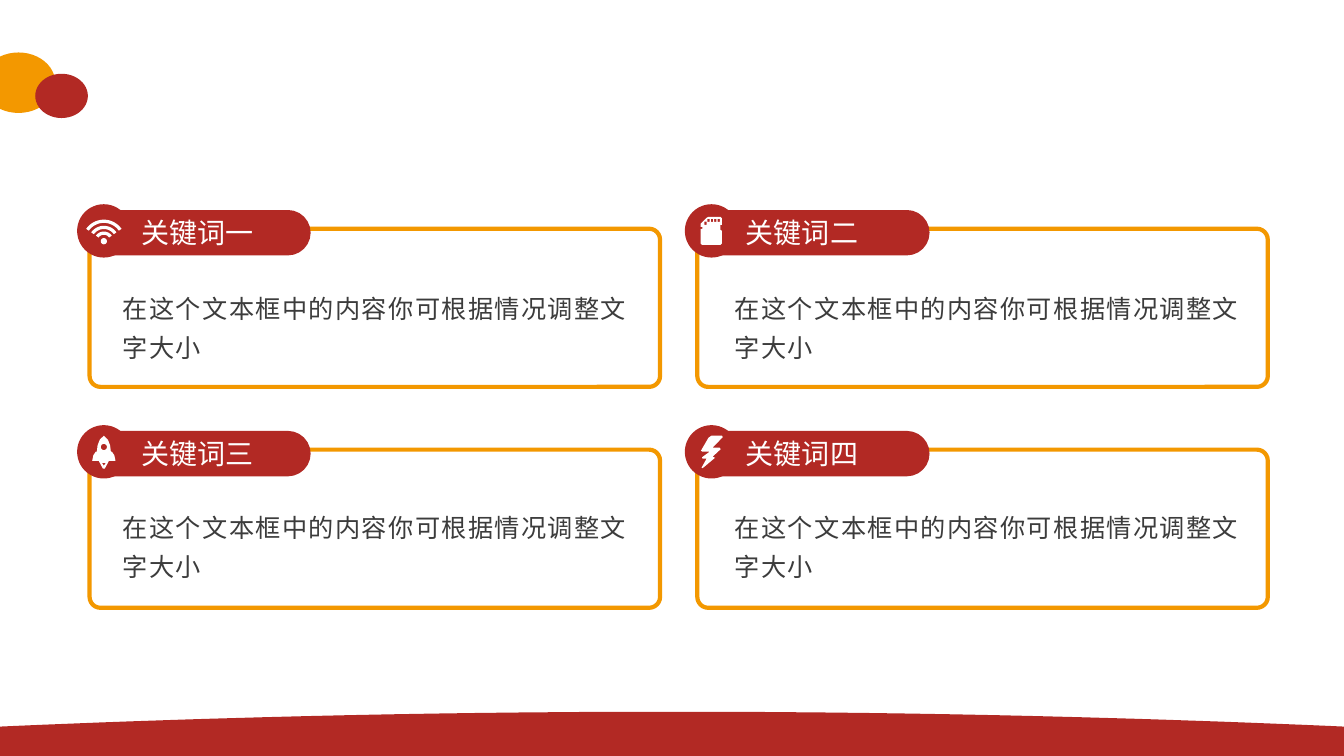
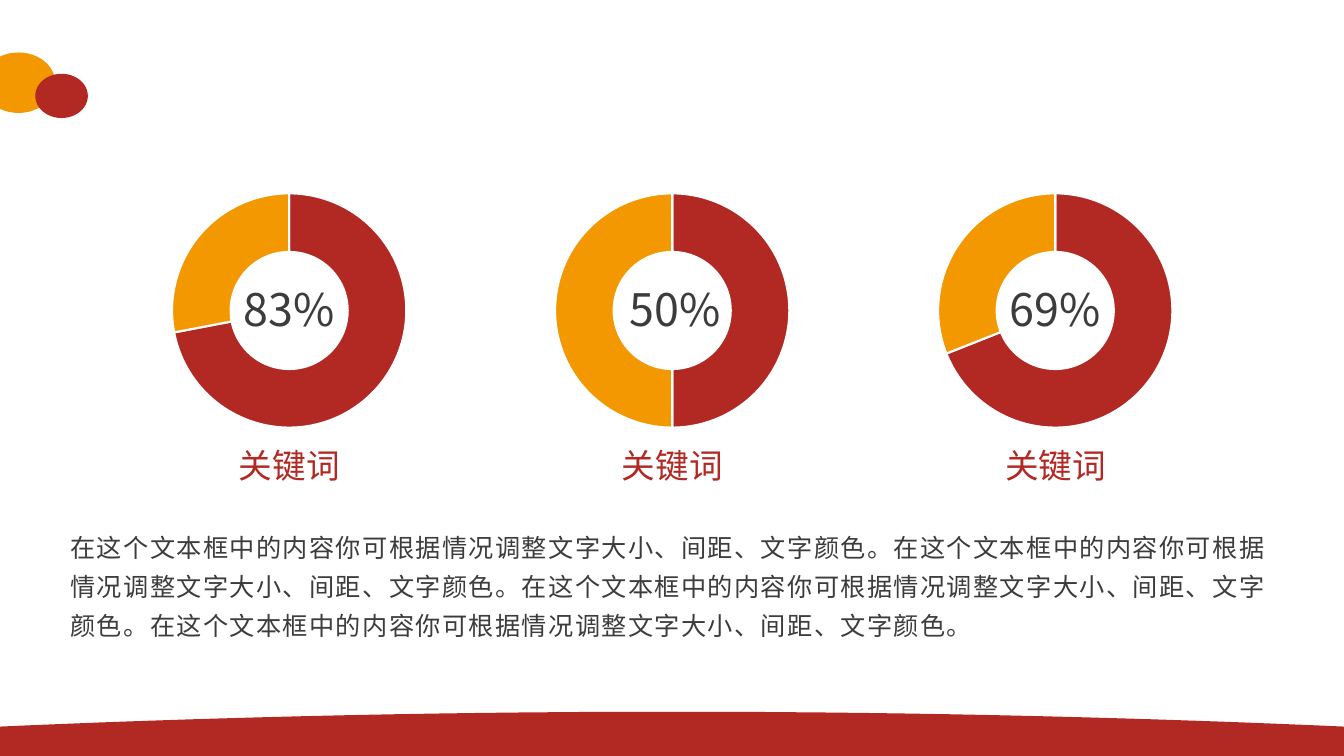
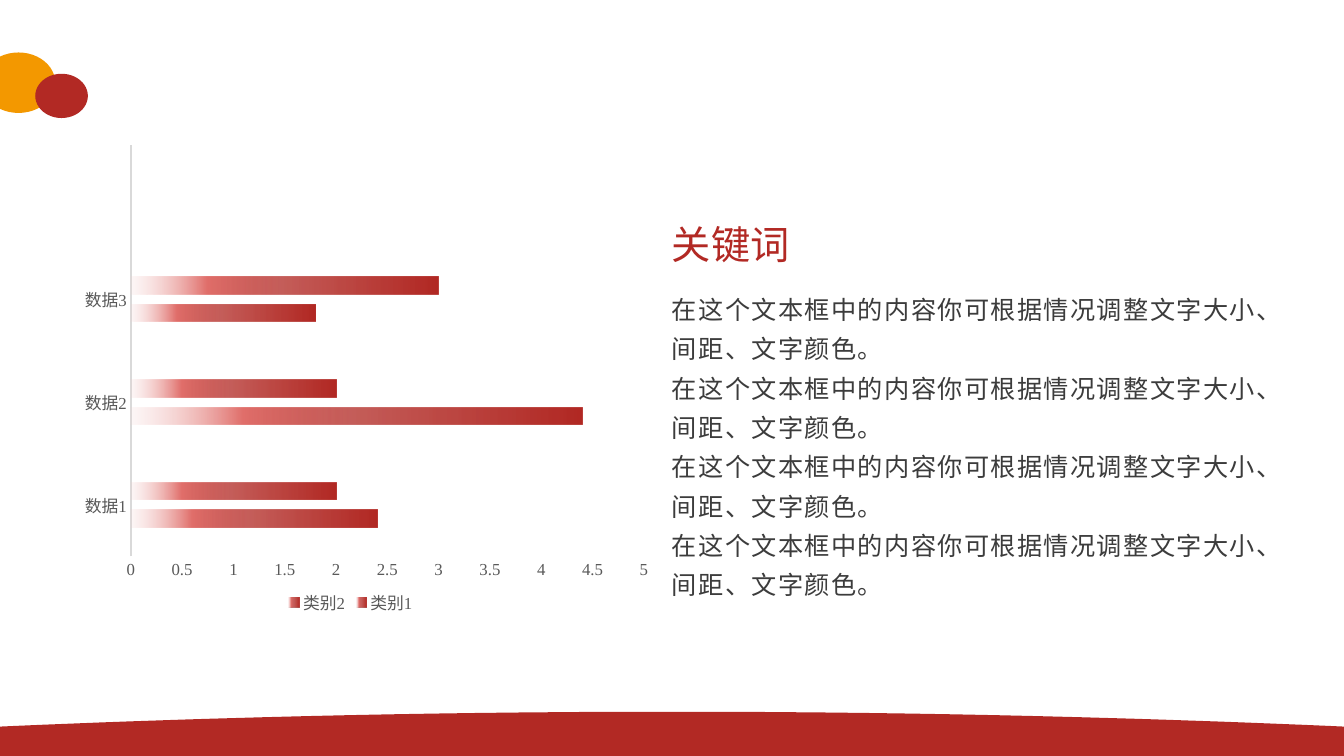
"""Build three keyword slides: cards, ring charts and a bar chart."""
from math import cos, pi, radians, sin
from pptx import Presentation
from pptx.chart.data import CategoryChartData as Data
from pptx.dml.color import RGBColor
from pptx.enum.chart import XL_CHART_TYPE as Kind, XL_LEGEND_POSITION as Place, XL_TICK_MARK as Tick
from pptx.enum.shapes import MSO_SHAPE as Form
from pptx.enum.text import MSO_ANCHOR as Anchor, MSO_AUTO_SIZE as Fit, PP_ALIGN as Align
from pptx.oxml import parse_xml
from pptx.oxml.ns import nsdecls
from pptx.util import Pt

RED, GOLD, WHITE, DARK, GRAY = "B22924", "F39800", "FFFFFF", "3C3C3C", "595959"
CJK = "Noto Sans CJK SC"
HEAD = dict(size=20, hue=WHITE, face="Lato")
BODY = dict(size=18, hue=DARK, face="Arial", lead=1.3)


def paint(fill, hue):
    fill.solid()
    fill.fore_color.rgb = RGBColor.from_string(hue)


def write(shape, text, size, hue, face, lead=None, pad=0, align=Align.LEFT):
    frame = shape.text_frame
    look = dict(word_wrap=True, auto_size=Fit.NONE, vertical_anchor=Anchor.TOP,
                margin_left=Pt(2 * pad), margin_right=Pt(2 * pad),
                margin_top=Pt(pad), margin_bottom=Pt(pad))
    for key, val in look.items():
        setattr(frame, key, val)
    frame.text = text
    for para in frame.paragraphs:
        if shape.is_placeholder:
            prop = para._p.get_or_add_pPr()
            prop.set("marL", "0")
            prop.set("indent", "0")
            prop.append(parse_xml(f'<a:buNone {nsdecls("a")}/>'))
        for key, val in dict(alignment=align, line_spacing=lead, space_before=Pt(0)).items():
            setattr(para, key, val)
        run = para.runs[0]
        run.font.size, run.font.name = Pt(size), face
        paint(run.font.fill, hue)
        prop = run._r.get_or_add_rPr()
        prop.append(parse_xml(f'<a:ea {nsdecls("a")} typeface="{CJK}"/>'))
        if lead:
            prop.set("spc", "100")


prs = Presentation()
prs.slide_width, prs.slide_height = Pt(960), Pt(540)
cards, rings, bars = [prs.slides.add_slide(prs.slide_layouts[n]) for n in (6, 6, 1)]

decor = []
for box, hue in (((-13, 37.5, 52.5, 43.2), GOLD), ((25.2, 52.7, 37.6, 31.6), RED)):
    dot = cards.shapes.add_shape(Form.OVAL, *map(Pt, box))
    paint(dot.fill, hue)
    decor.append(dot)
curve = [(Pt(x), Pt(508.4 + 10.6 * (x / 480 - 1) ** 2)) for x in range(0, 961, 10)]
pen = cards.shapes.build_freeform(0, Pt(540), 1.0)
pen.add_line_segments(curve + [(Pt(960), Pt(540))], close=True)
band = pen.convert_to_shape()
paint(band.fill, RED)
decor.append(band)
for num, shape in enumerate(decor, 101):
    shape.line.fill.background()
    shape.shadow.inherit = False
    shape.element.nvSpPr.cNvPr.set("id", str(num))
    prs.slide_master.shapes.element.append(shape.element)

turn = [radians(a) for a in range(-55, 56, 5)]
wifi = [[(r * sin(a), 7.4 - r * cos(a)) for a in turn]
        + [((r - 2.3) * sin(a), 7.4 - (r - 2.3) * cos(a)) for a in turn[::-1]]
        for r in (15.4, 11, 6.9)]
disc = [(2.2 * cos(n * pi / 12), 2.2 * sin(n * pi / 12)) for n in range(24)]
wifi.append([(x, y + 7.4) for x, y in disc])
chip = [[(-7.9, -1.4), (-7.9, 9), (-6.9, 10), (6.4, 10), (7.4, 9), (7.4, 0), (6.3, -0.7),
         (6.3, -4.3), (7.4, -4.3), (7.4, -9), (6.4, -10), (-2.2, -10), (-3.6, -9.3),
         (-7.9, -5), (-7.9, -2.9), (-6.5, -2.9), (-6.5, -1.4)]]
for x, y in [(-5.1, -6.5)] + [(-2.9 + 2.4 * n, -8.6) for n in range(4)]:
    chip.append([(x, y), (x + 1.6, y), (x + 1.6, y + 2.2), (x, y + 2.2)])
half = [(0, -11.5), (2.9, -8.6), (4.5, -4.5), (5, 0), (5.8, 0), (7.5, 2.5), (8.3, 6.5),
        (3.6, 6.5), (2.9, 7.9), (0.7, 12)]
rocket = [half + [(-x, y) for x, y in half[:0:-1]],
          [(x, y - 3.4) for x, y in disc], [(-1.4, 7.9), (1.4, 7.9), (0, 10)]]
bolt = [[(7.5, -11.5), (0, -11.5), (-2.2, -10), (-7.6, -0.7), (-6.5, 0), (-1.4, 0), (-6.8, 4),
         (-6.5, 5), (-3.6, 5), (-7.2, 11.5), (-6.3, 11.7), (2.5, 4.3), (0.7, 3.6), (6.5, -1.8),
         (5.8, -2.9), (0.7, -2.9), (8, -10.4)]]

cols = [(64, 152, 100.8, 87.8), (498.1, 160, 532.8, 524.9)]
rows = [(163.4, 203), (321.2, 359.3)]
spots = [row + col for row in rows for col in cols]
for spot, name, icon in zip(spots, "一二三四", (wifi, chip, rocket, bolt)):
    top, low, left, wide, head, text = spot
    parts = [(Form.ROUNDED_RECTANGLE, (left, top, 407.5, 113), 0.069, WHITE, GOLD, 3),
             (Form.ROUNDED_RECTANGLE, (left + 3.4, top - 10.9, wide, 27.4), 0.5, RED, RED, 5),
             (Form.OVAL, (left - 6.4, top - 15, 33.1, 33.1), None, RED, RED, 5)]
    for form, box, curb, fill, edge, thick in parts:
        part = cards.shapes.add_shape(form, *map(Pt, box))
        if curb:
            part.adjustments[0] = curb
        paint(part.fill, fill)
        paint(part.line.fill, edge)
        part.line.width = Pt(thick)
        part.shadow.inherit = False
    loops = [[(Pt(left + 10.2 + x), Pt(top + 1.5 + y)) for x, y in loop] for loop in icon]
    pen = cards.shapes.build_freeform(*loops[0][0], 1.0)
    for loop in loops:
        pen.move_to(*loop[0])
        pen.add_line_segments(loop[1:], close=True)
    mark = pen.convert_to_shape()
    paint(mark.fill, WHITE)
    mark.line.fill.background()
    mark.shadow.inherit = False
    label = cards.shapes.add_textbox(Pt(head), Pt(top - 9.3), Pt(112), Pt(24.5))
    write(label, "关键词" + name, **HEAD)
    note = cards.shapes.add_textbox(Pt(text), Pt(low), Pt(364.3), Pt(57))
    write(note, "在这个文本框中的内容你可根据情况调整文字大小", **BODY)

for n, (share, part) in enumerate((("83%", 72), ("50%", 50), ("69%", 69))):
    left = 66.2 + 273.6 * n
    data = Data()
    data.categories = ["1", "2"]
    data.add_series("Series 1", (part, 100 - part))
    chart = rings.shapes.add_chart(Kind.DOUGHNUT, Pt(left), Pt(128.2), Pt(280.8), Pt(187.2), data).chart
    chart.has_title = chart.has_legend = False
    chart.font.size, chart.font.name = Pt(10), "Times New Roman"
    chart._chartSpace.xpath("//c:holeSize")[0].set("val", "80")
    for spot, hue in enumerate((RED, GOLD)):
        look = chart.plots[0].series[0].points[spot].format
        paint(look.fill, hue)
        paint(look.line.fill, WHITE)
        look.line.width = Pt(1.5)
    shift = 2.5 if n == 1 else 0
    for text, box, size, hue in ((share, (left + 75 + shift, 198, 130.3, 46), 32, DARK),
                                 ("关键词", (left + 65.5, 314.6, 150, 36), 24, RED)):
        write(rings.shapes.add_textbox(*map(Pt, box)), text, size, hue, CJK,
              pad=3.6, align=Align.CENTER)
line = "在这个文本框中的内容你可根据情况调整文字大小、间距、文字颜色。"
write(rings.shapes.add_textbox(Pt(43.2), Pt(370), Pt(873.4), Pt(94.3)), line * 4, pad=3.6, **BODY)

data = Data()
data.categories = ["数据1", "数据2", "数据3", ""]
data.add_series("类别1", (2.4, 4.4, 1.8, None))
data.add_series("类别2", (2, 2, 3, None))
chart = bars.shapes.add_chart(Kind.BAR_CLUSTERED, Pt(32.4), Pt(100), Pt(436.3), Pt(342), data).chart
chart.has_title, chart.has_legend = False, True
chart.legend.position, chart.legend.include_in_layout = Place.BOTTOM, False
chart.font.size, chart.font.name = Pt(10), "Times New Roman"
plot, cat, val = chart.plots[0], chart.category_axis, chart.value_axis
plot.gap_width, plot.overlap, plot.vary_by_categories = 326, -58, False
for axis in (cat, val):
    for key, item in dict(major_tick_mark=Tick.NONE, minor_tick_mark=Tick.NONE,
                          has_major_gridlines=False).items():
        setattr(axis, key, item)
for font in (cat.tick_labels.font, val.tick_labels.font, chart.legend.font):
    font.size, font.name = Pt(12), "Times New Roman"
    paint(font.fill, GRAY)
paint(cat.format.line.fill, "D9D9D9")
cat.format.line.width = Pt(1.5)
val.format.line.fill.background()
val.minimum_scale, val.maximum_scale, val.major_unit = 0, 5, 0.5
stops = "".join(
    f'<a:gs pos="{at}000"><a:srgbClr val="{hue}"><a:alpha val="{seen}000"/></a:srgbClr></a:gs>'
    for at, hue, seen in ((0, RED, 100), (51, RED, 75), (75, "E16F6B", 100), (100, "F5CFCE", 15)))
for ser in plot.series:
    ser.invert_if_negative = False
    ser._element.get_or_add_spPr().append(parse_xml(
        f'<a:gradFill {nsdecls("a")}><a:gsLst>{stops}</a:gsLst><a:lin ang="10800000" scaled="0"/></a:gradFill>'))
area = chart._chartSpace.xpath("c:chart/c:plotArea")[0]
for old in area.xpath("c:layout"):
    area.remove(old)
sizes = "".join(f'<c:{key} val="{num}"/>' for key, num in (
    ("layoutTarget", "inner"), ("xMode", "edge"), ("yMode", "edge"),
    ("x", 0.14), ("y", 0.01), ("w", 0.84), ("h", 0.86)))
area.insert(0, parse_xml(f'<c:layout {nsdecls("c")}><c:manualLayout>{sizes}</c:manualLayout></c:layout>'))

title, body = bars.shapes.title, bars.placeholders[1]
for shape, box in ((title, (480, 157, 209.5, 34)), (body, (480, 203.8, 448.6, 226.8))):
    for key, num in zip(("left", "top", "width", "height"), box):
        setattr(shape, key, Pt(num))
write(title, "关键词", **{**HEAD, "size": 28, "hue": RED})
write(body, "\n".join([line] * 4), **BODY)

prs.save("out.pptx")
